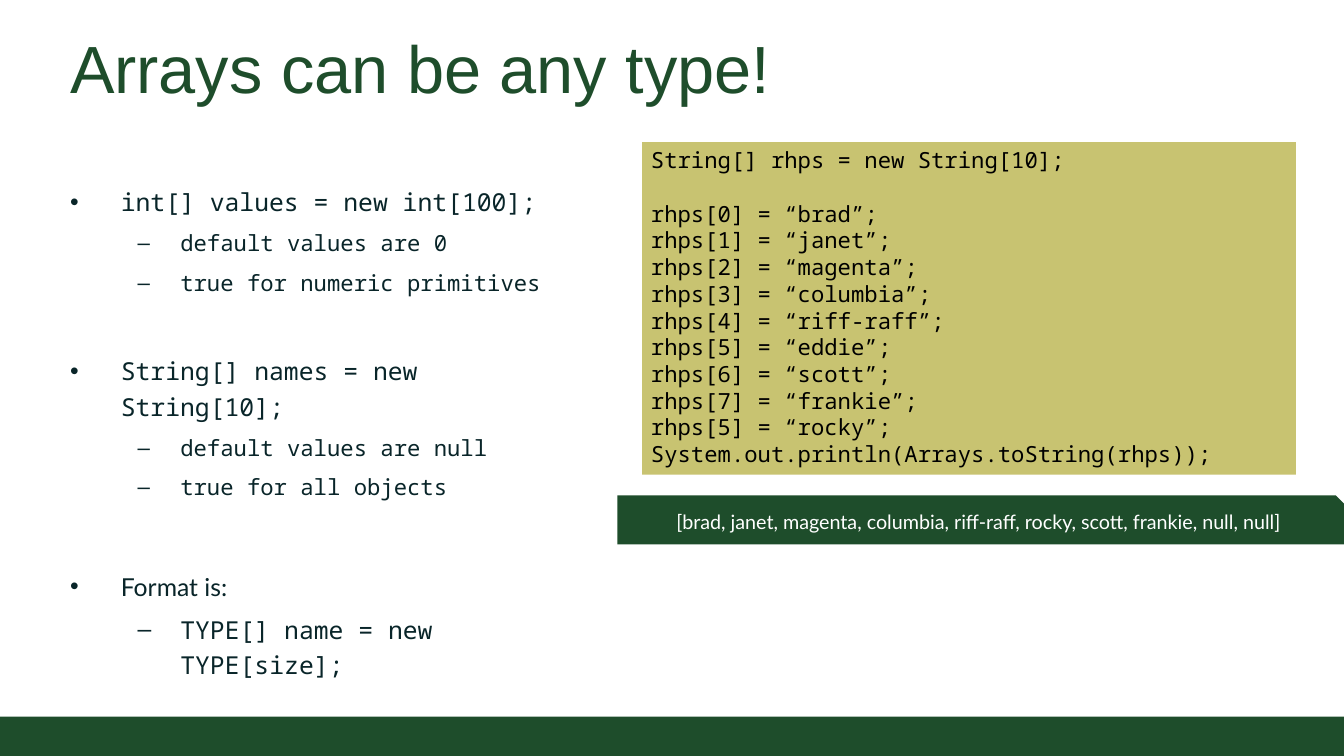
from lxml.etree import SubElement as Sub
from pptx import Presentation as Deck
from pptx.dml.color import RGBColor as Color
from pptx.enum.shapes import MSO_SHAPE as Shape
from pptx.enum.text import MSO_ANCHOR as Anchor, PP_ALIGN as Align
from pptx.oxml.ns import qn
from pptx.util import Cm, Pt

# Content
TITLE = "Arrays can be any type!"
# level, text, font key, size key, space before (pt)
POINTS = [
    (0, "int[] values = new int[100];", "code", "point", 6),
    (1, "default values are 0", "code", "small", 0),
    (1, "true for numeric primitives", "code", "small", 0),
    (0, "String[] names = new String[10];", "code", "point", 38),
    (1, "default values are null", "code", "small", 0),
    (1, "true for all objects", "code", "small", 0),
    (0, "Format is:", "text", "point", 46.8),
    (1, "TYPE[] name = new TYPE[size];", "code", "point", 0),
]
START = "String[] rhps = new String[10];"
NAMES = [(0, "brad"), (1, "janet"), (2, "magenta"), (3, "columbia"), (4, "riff-raff"),
         (5, "eddie"), (6, "scott"), (7, "frankie"), (5, "rocky")]
PRINT = "System.out.println(Arrays.toString(rhps));"
RESULT = "[brad, janet, magenta, columbia, riff-raff, rocky, scott, frankie, null, null]"

# Theme
THEME = {
    "font": {"title": "Arial", "code": "Noto Sans Mono", "text": "Lato"},
    "size": {"title": 54, "point": 20, "small": 18, "out": 16},
    "color": {"green": "1E4D2B", "ink": "092529", "sand": "C8C371",
              "black": "000000", "white": "FFFFFF"},
}
# Left margin, hanging indent and bullet sign per level
LEVELS = [(1.45, -1.45, "•"), (3.15, -1.22, "–")]

# Layout in cm
WIDE, HIGH = 38.38, 21.59
BAR = 1.12
SPOTS = {
    "bar": (0, HIGH - BAR, WIDE, BAR),
    "title": (1.75, 0.48, 34.9, 2.82),
    "points": (1.75, 4.93, 15.49, 14.07),
    "code": (18.34, 4.06, 18.67, 9.5),
    "out": (17.63, 14.15, WIDE - 17.63, 1.4),
}


def assign(item, form):
    for key, value in form.items():
        setattr(item, key, value)


def tint(name):
    return Color.from_string(THEME["color"][name])


def frame(part, pad, **form):
    """Set wrapping, side and top insets, and further frame values."""
    side, top = map(Cm, pad)
    assign(part.text_frame, {"word_wrap": True, "margin_left": side, "margin_right": side,
                             "margin_top": top, "margin_bottom": top, **form})
    return part.text_frame


def block(slide, spot, kind, fill):
    part = slide.shapes.add_shape(kind, *map(Cm, SPOTS[spot]))
    part.shadow.inherit = False
    part.fill.solid()
    part.fill.fore_color.rgb = tint(fill)
    part.line.fill.background()
    return part


def box(slide, spot):
    return slide.shapes.add_textbox(*map(Cm, SPOTS[spot]))


def write(body, row, text, font, size, color, **form):
    """Fill the first paragraph, or add one for each later row."""
    para = body.paragraphs[0] if row == 0 else body.add_paragraph()
    assign(para, {"alignment": Align.LEFT, **form})
    run = para.add_run()
    run.text = text
    assign(run.font, {"name": THEME["font"][font], "size": Pt(THEME["size"][size])})
    run.font.color.rgb = tint(color)
    return para


def bullet(para, level):
    left, hang, sign = LEVELS[level]
    props = para._p.get_or_add_pPr()
    props.set("marL", str(Cm(left)))
    props.set("indent", str(Cm(hang)))
    Sub(props, qn("a:buFont")).set("typeface", "Arial")
    Sub(props, qn("a:buChar")).set("char", sign)


def main():
    deck = Deck()
    assign(deck, {"slide_width": Cm(WIDE), "slide_height": Cm(HIGH)})
    slide = deck.slides.add_slide(deck.slide_layouts[6])
    pad = (0.25, 0.25)

    # Footer bar and title
    block(slide, "bar", Shape.RECTANGLE, "green")
    body = frame(box(slide, "title"), pad, vertical_anchor=Anchor.BOTTOM)
    write(body, 0, TITLE, "title", "title", "green")

    # Bullet points
    body = frame(box(slide, "points"), pad)
    for row, (level, text, font, size, gap) in enumerate(POINTS):
        para = write(body, row, text, font, size, "ink", level=level, line_spacing=1.2,
                     space_before=Pt(gap), space_after=Pt(6))
        bullet(para, level)

    # Code panel, with one line of space after the first row
    panel = block(slide, "code", Shape.RECTANGLE, "sand")
    body = frame(panel, (0.25, 0.13), vertical_anchor=Anchor.TOP)
    lines = [START, *(f"rhps[{spot}] = “{name}”;" for spot, name in NAMES), PRINT]
    for row, text in enumerate(lines):
        gap = 21.6 if row == 1 else 0
        write(body, row, text, "code", "small", "black", space_before=Pt(gap))

    # Printed result
    strip = block(slide, "out", Shape.SNIP_1_RECTANGLE, "green")
    body = frame(strip, (0.76, 0.51), vertical_anchor=Anchor.MIDDLE)
    write(body, 0, RESULT, "text", "out", "white", alignment=Align.CENTER)

    deck.save("out.pptx")


if __name__ == "__main__":
    main()
